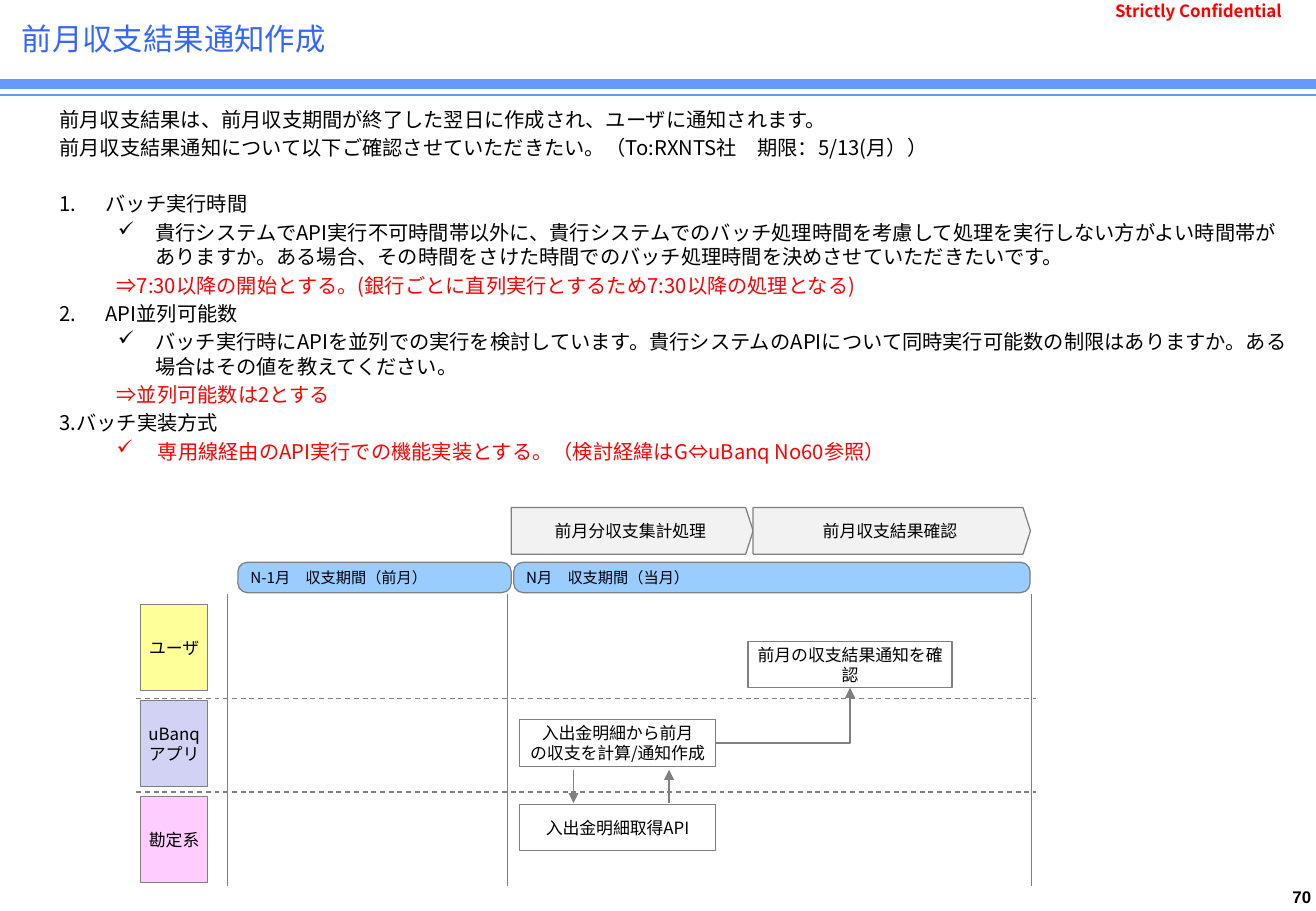
from lxml.etree import SubElement
from pptx import Presentation
from pptx.dml.color import RGBColor
from pptx.enum.dml import MSO_LINE
from pptx.enum.shapes import MSO_CONNECTOR, MSO_SHAPE
from pptx.enum.text import MSO_ANCHOR, PP_ALIGN
from pptx.oxml.ns import qn
from pptx.util import Inches, Pt

COLS, ROWS = 130, 90
FONT = "Noto Sans CJK JP"
BLACK, RED, BLUE, GRAY = "000000", "FF0000", "6699FF", "808080"


def paint(code):
    return RGBColor.from_string(code)


class Page:
    """Holds the style and the current slide; lengths are grid units."""

    def __init__(self, deck):
        self.slide = deck.slides.add_slide(deck.slide_layouts[5])
        self.shapes = self.slide.shapes
        self.wide = deck.slide_width / COLS
        self.high = deck.slide_height / ROWS

    def area(self, x, y, w, h):
        return (round(x * self.wide), round(y * self.high),
                round(w * self.wide), round(h * self.high))

    def frame(self, shape, pad=0.04, anchor=MSO_ANCHOR.MIDDLE, wrap=False):
        frame = shape.text_frame
        look = {"margin_left": Inches(pad), "margin_right": Inches(pad),
                "margin_top": Inches(0.04), "margin_bottom": Inches(0.04),
                "vertical_anchor": anchor, "word_wrap": wrap}
        for name, value in look.items():
            setattr(frame, name, value)
        return frame

    def words(self, para, text, size=10, color=BLACK, font=FONT, bold=False):
        run = para.add_run()
        run.text = text
        for name, value in {"size": Pt(size), "name": font, "bold": bold}.items():
            setattr(run.font, name, value)
        run.font.color.rgb = paint(color)
        SubElement(run.font._element, qn("a:ea"), typeface=font)

    def title(self, text, spot):
        shape = self.shapes.title
        shape.left, shape.top, shape.width, shape.height = self.area(*spot)
        para = self.frame(shape, 0.1, wrap=True).paragraphs[0]
        para.alignment = PP_ALIGN.LEFT
        self.words(para, text, 18, "3366FF")

    def label(self, text, spot, align, pad=0.04, anchor=MSO_ANCHOR.TOP, **look):
        shape = self.shapes.add_textbox(*self.area(*spot))
        para = self.frame(shape, pad, anchor).paragraphs[0]
        para.alignment = align
        self.words(para, text, **look)

    def block(self, kind, text, spot, fill, adjust=None, size=10,
              align=PP_ALIGN.CENTER, pad=0.04, wrap=False):
        shape = self.shapes.add_shape(kind, *self.area(*spot))
        shape.shadow.inherit = False
        shape.fill.solid()
        shape.fill.fore_color.rgb = paint(fill)
        shape.line.color.rgb = paint(GRAY)
        shape.line.width = Pt(0.75)
        if adjust:
            shape.adjustments[0] = adjust
        frame = self.frame(shape, pad, wrap=wrap)
        for i, line in enumerate(text.split("\n")):
            para = frame.add_paragraph() if i else frame.paragraphs[0]
            para.alignment = align
            self.words(para, line, size)
        return shape

    def line(self, x1, y1, x2, y2, color=GRAY, width=0.75, dash=False,
             arrow=False, kind=MSO_CONNECTOR.STRAIGHT):
        start, end = self.area(x1, y1, 0, 0)[:2], self.area(x2, y2, 0, 0)[:2]
        link = self.shapes.add_connector(kind, *start, *end)
        link.line.color.rgb = paint(color)
        link.line.width = Pt(width)
        if dash:
            link.line.dash_style = MSO_LINE.DASH
        props = link._element.spPr
        if arrow:
            SubElement(props.find(qn("a:ln")), qn("a:tailEnd"), type="triangle")
        SubElement(props, qn("a:effectLst"))
        return link

    def bend(self, first, last, *ends):
        link = self.line(*ends, arrow=True, kind=MSO_CONNECTOR.ELBOW)
        link.begin_connect(first, 3)
        link.end_connect(last, 2)
        link._element.spPr.find(qn("a:prstGeom")).set("prst", "bentConnector2")

    def notes(self, items, spot):
        shape = self.shapes.add_textbox(*self.area(*spot))
        frame = self.frame(shape, 0.1, MSO_ANCHOR.TOP, True)
        for i, (text, level, left, hang, mark, color, gap) in enumerate(items):
            para = frame.add_paragraph() if i else frame.paragraphs[0]
            para.level = level
            para.space_before = Pt(gap if i else 0)
            props = para._p.get_or_add_pPr()
            props.set("marL", str(Inches(left)))
            props.set("indent", str(Inches(hang)))
            if mark == "✓":
                SubElement(SubElement(props, qn("a:buClr")), qn("a:srgbClr"), val=color)
                SubElement(props, qn("a:buFont"), typeface="Wingdings")
                SubElement(props, qn("a:buChar"), char="ü")
            elif mark:
                SubElement(props, qn("a:buFont"), typeface="+mj-lt")
                SubElement(props, qn("a:buAutoNum"), type="arabicPeriod",
                           startAt=str(mark))
            else:
                SubElement(props, qn("a:buNone"))
            self.words(para, text, 12, color)


def main():
    deck = Presentation()
    deck.slide_width, deck.slide_height = Inches(10.83), Inches(7.5)
    page = Page(deck)

    # Header and page number
    page.line(0, 8.28, COLS, 8.28, BLUE, 6)
    page.line(0, 9.36, COLS, 9.36, BLUE, 1)
    page.label("70", (126.15, 87.1, 3.85, 3), PP_ALIGN.RIGHT, font="Arial", bold=True)
    page.label("Strictly Confidential", (109.2, 0.5, 21.1, 1.2), PP_ALIGN.LEFT,
               0.08, MSO_ANCHOR.MIDDLE, color=RED, bold=True)
    page.title("前月収支結果通知作成", (0.96, 0.72, 124.6, 6.1))

    # Questions and answers: text, level, left, hang, mark, colour, gap
    gap, skip = 2.4, 19
    page.notes([
        ("前月収支結果は、前月収支期間が終了した翌日に作成され、ユーザに通知されます。",
         0, 0, 0, None, BLACK, gap),
        ("前月収支結果通知について以下ご確認させていただきたい。（To:RXNTS社　期限：5/13(月））",
         0, 0, 0, None, BLACK, gap),
        ("バッチ実行時間", 0, 0.38, -0.38, 1, BLACK, skip),
        ("貴行システムでAPI実行不可時間帯以外に、貴行システムでのバッチ処理時間を考慮して処理を実行しない方がよい時間帯がありますか。ある場合、その時間をさけた時間でのバッチ処理時間を決めさせていただきたいです。",
         1, 0.79, -0.31, "✓", BLACK, gap),
        ("⇒7:30以降の開始とする。(銀行ごとに直列実行とするため7:30以降の処理となる)",
         1, 0.47, 0, None, RED, gap),
        ("API並列可能数", 0, 0.38, -0.38, 2, BLACK, gap),
        ("バッチ実行時にAPIを並列での実行を検討しています。貴行システムのAPIについて同時実行可能数の制限はありますか。ある場合はその値を教えてください。",
         1, 0.79, -0.31, "✓", BLACK, gap),
        ("⇒並列可能数は2とする", 1, 0.47, 0, None, RED, gap),
        ("バッチ実装方式", 0, 0, 0, 3, BLACK, gap),
        ("専用線経由のAPI実行での機能実装とする。（検討経緯はG⇔uBanq No60参照）",
         1, 0.81, -0.34, "✓", RED, gap),
    ], (4.7, 10.1, 123.8, 33.8))

    # Steps and periods
    for text, x, w in (("前月分収支集計処理", 50.5, 23.9), ("前月収支結果確認", 74.4, 27.4)):
        page.block(MSO_SHAPE.PENTAGON, text, (x, 50.15, w, 4.6), "F2F2F2", 0.16)
    for text, x, w in (("N-1月　収支期間（前月）", 23.5, 27), ("N月　収支期間（当月）", 50.75, 51)):
        page.block(MSO_SHAPE.ROUNDED_RECTANGLE, text, (x, 55.55, w, 3), "99CCFF",
                   0.31, 9, PP_ALIGN.LEFT, 0.08)

    # Lanes and their borders
    lanes = (("ユーザ", "FFFF99"), ("uBanq\nアプリ", "D2D2F4"), ("勘定系", "FFCCFF"))
    for i, (text, fill) in enumerate(lanes):
        page.block(MSO_SHAPE.RECTANGLE, text, (13.9, 59.75 + 9.47 * i, 6.6, 8.5), fill)
    for x in (22.45, 50.15, 101.9):
        page.line(x, 58.7, x, 87.5)
    for y in (69, 78.25):
        page.line(13.45, y, 102.35, y, dash=True)

    # Tasks and flow
    tasks = (("入出金明細から前月\nの収支を計算/通知作成", 51.35, 71.1, 19.3),
             ("入出金明細取得API", 51.35, 79.45, 19.3),
             ("前月の収支結果通知を確認", 73.9, 63.35, 20.15))
    calc, _, check = [
        page.block(MSO_SHAPE.RECTANGLE, text, (x, y, w, 4.6), "FFFFFF", wrap=x > 60)
        for text, x, y, w in tasks]
    page.line(56.65, 76.05, 56.65, 79.35, arrow=True)
    page.line(66.1, 79.35, 66.1, 76.05, arrow=True)
    page.bend(calc, check, 70.65, 73.4, 83.97, 67.95)

    deck.save("out.pptx")


if __name__ == "__main__":
    main()
